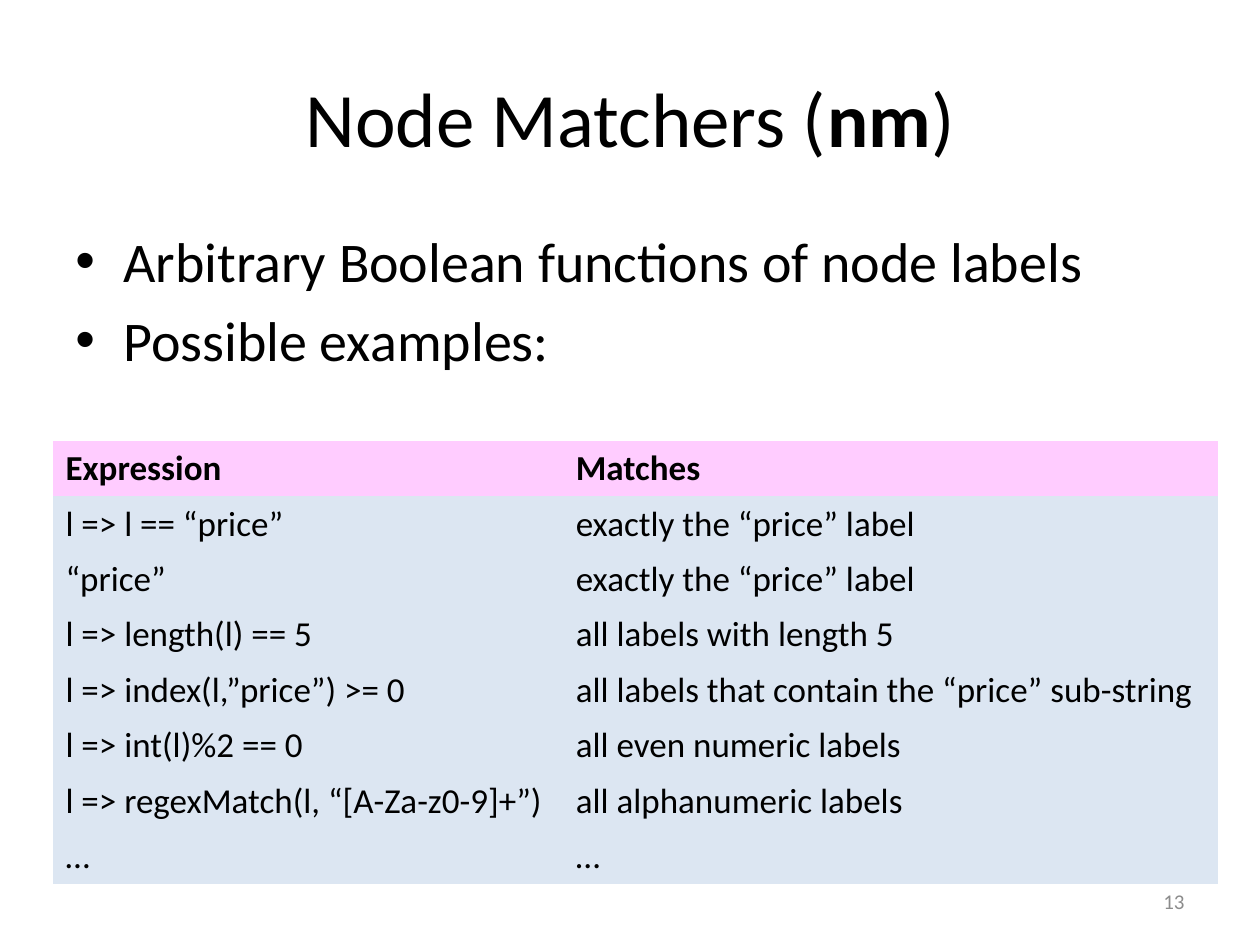
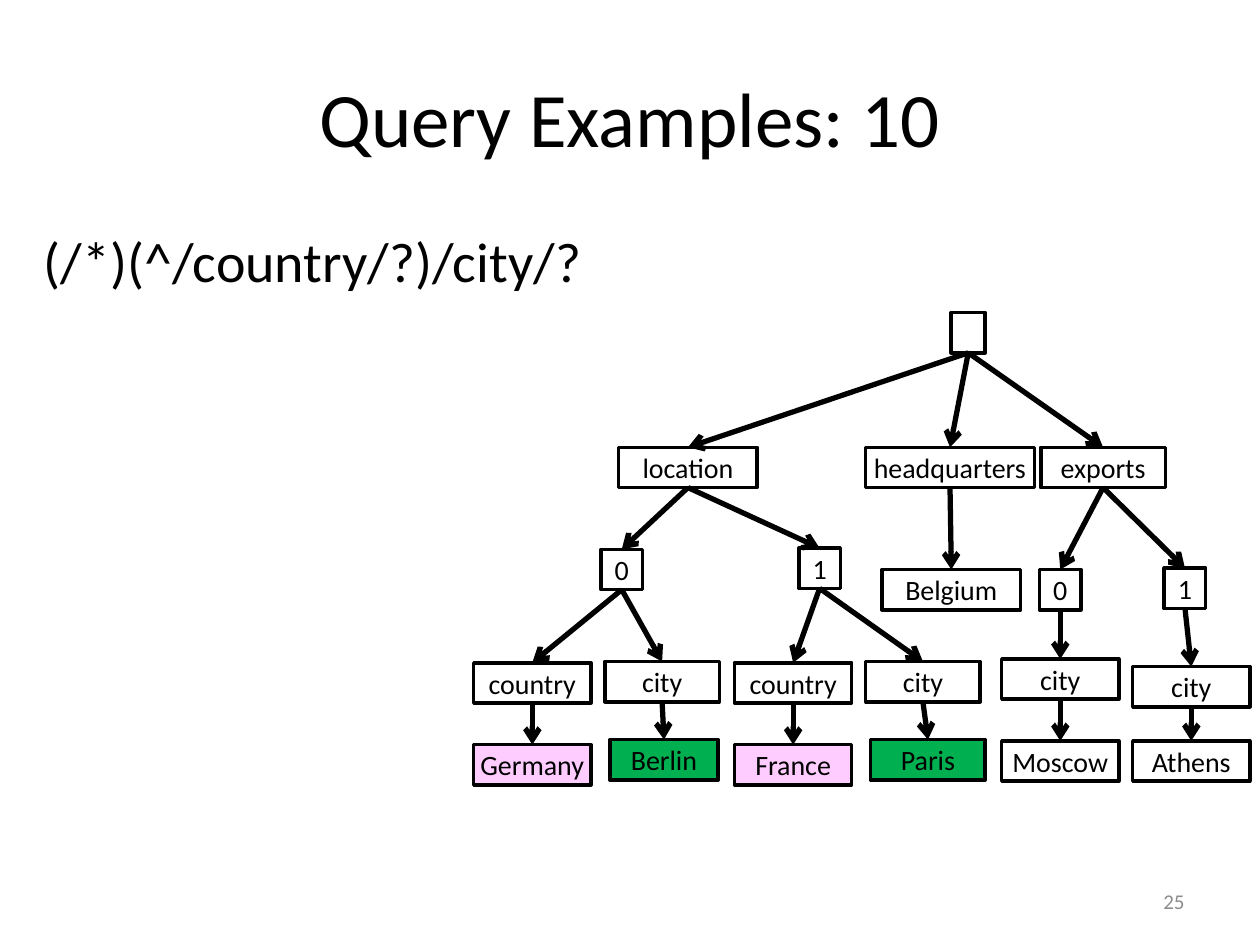
from dataclasses import dataclass

from pptx import Presentation
from pptx.dml.color import RGBColor
from pptx.enum.shapes import MSO_CONNECTOR, MSO_SHAPE
from pptx.enum.text import MSO_ANCHOR, PP_ALIGN
from pptx.oxml.ns import qn
from pptx.util import Inches, Pt
from lxml import etree

LEFT, CENTER, RIGHT = PP_ALIGN.LEFT, PP_ALIGN.CENTER, PP_ALIGN.RIGHT
TOP, MIDDLE = MSO_ANCHOR.TOP, MSO_ANCHOR.MIDDLE
RECTANGLE, STRAIGHT = MSO_SHAPE.RECTANGLE, MSO_CONNECTOR.STRAIGHT
TOP_SITE, BOTTOM_SITE = 0, 2
NO_TABLE_STYLE = "{2D5ABB26-0587-4C30-8999-92F81FD0307C}"


@dataclass(frozen=True)
class Theme:
    font: str = "Calibri"
    black: str = "000000"
    gray: str = "8C8C8C"
    pink: str = "FFCCFF"
    pale_blue: str = "DCE6F2"
    green: str = "00B050"
    title_size: int = 44
    body_size: int = 32
    table_size: int = 20
    node_size: int = 16
    number_size: int = 12


THEME = Theme()


class Deck:
    """Holds the theme, the presentation and the current slide."""

    def __init__(self, theme):
        self.theme = theme
        self.presentation = Presentation()
        self.presentation.slide_width = Inches(10)
        self.presentation.slide_height = Inches(7.5)
        self.slide = None

    def add_slide(self, title_runs, number):
        layout = self.presentation.slide_layouts[6]
        self.slide = self.presentation.slides.add_slide(layout)
        frame = self.text_box(0.5, 0.3, 9, 1.25, MIDDLE)
        self.add_runs(frame.paragraphs[0], title_runs, self.theme.title_size, CENTER)
        frame = self.text_box(7.17, 6.95, 2.33, 0.4, MIDDLE)
        self.add_runs(frame.paragraphs[0], [(str(number), False)],
                      self.theme.number_size, RIGHT, self.theme.gray)

    def text_box(self, left, top, width, height, anchor=TOP):
        box = self.slide.shapes.add_textbox(
            Inches(left), Inches(top), Inches(width), Inches(height))
        frame = box.text_frame
        frame.word_wrap = True
        frame.vertical_anchor = anchor
        return frame

    def add_runs(self, paragraph, runs, size, align=LEFT, color=None):
        paragraph.alignment = align
        for text, bold in runs:
            run = paragraph.add_run()
            run.text = text
            settings = {"name": self.theme.font, "size": Pt(size), "bold": bold}
            for name, value in settings.items():
                setattr(run.font, name, value)
            run.font.color.rgb = RGBColor.from_string(color or self.theme.black)

    def body(self, left, width, lines, bullets=False):
        frame = self.text_box(left, 1.75, width, 4.95)
        for index, line in enumerate(lines):
            paragraph = frame.add_paragraph() if index else frame.paragraphs[0]
            if bullets:
                self.bullet(paragraph)
            if index:
                paragraph.space_before = Pt(0.2 * self.theme.body_size)
            self.add_runs(paragraph, [(line, False)], self.theme.body_size)

    def bullet(self, paragraph):
        properties = paragraph._p.get_or_add_pPr()
        properties.set("marL", str(Inches(0.38)))
        properties.set("indent", str(Inches(-0.38)))
        font = etree.SubElement(properties, qn("a:buFont"))
        font.set("typeface", "Arial")
        etree.SubElement(properties, qn("a:buChar")).set("char", "•")

    def table(self, left, top, widths, row_height, rows):
        frame = self.slide.shapes.add_table(
            len(rows), len(widths), Inches(left), Inches(top),
            Inches(sum(widths)), Inches(row_height * len(rows)))
        table = frame.table
        table._tbl.tblPr.find(qn("a:tableStyleId")).text = NO_TABLE_STYLE
        table.horz_banding = False
        for column, width in zip(table.columns, widths):
            column.width = Inches(width)
        for row_index, row in enumerate(rows):
            is_header = row_index == 0
            fill = self.theme.pink if is_header else self.theme.pale_blue
            for column_index, text in enumerate(row):
                cell = table.cell(row_index, column_index)
                cell.fill.solid()
                cell.fill.fore_color.rgb = RGBColor.from_string(fill)
                self.add_runs(cell.text_frame.paragraphs[0], [(text, is_header)],
                              self.theme.table_size)

    def node(self, text, left, top, width, fill=None):
        shape = self.slide.shapes.add_shape(
            RECTANGLE, Inches(left), Inches(top), Inches(width), Inches(0.32))
        shape.shadow.inherit = False
        if fill:
            shape.fill.solid()
            shape.fill.fore_color.rgb = RGBColor.from_string(fill)
        else:
            shape.fill.background()
        self.outline(shape, 2)
        if text:
            frame = shape.text_frame
            frame.word_wrap = False
            frame.vertical_anchor = MIDDLE
            self.add_runs(frame.paragraphs[0], [(text, False)],
                          self.theme.node_size, CENTER)
        return shape

    def outline(self, shape, width):
        shape.line.color.rgb = RGBColor.from_string(self.theme.black)
        shape.line.width = Pt(width)

    def arrow(self, parent, child):
        connector = self.slide.shapes.add_connector(STRAIGHT, 0, 0, 0, 0)
        connector.begin_connect(parent, BOTTOM_SITE)
        connector.end_connect(child, TOP_SITE)
        self.outline(connector, 3)
        properties = connector._element.spPr
        etree.SubElement(properties.find(qn("a:ln")), qn("a:tailEnd")).set("type", "arrow")
        etree.SubElement(properties, qn("a:effectLst"))

    def tree(self, box, children=(), parent=None):
        shape = self.node(*box)
        if parent is not None:
            self.arrow(parent, shape)
        for child in children:
            self.tree(*child, parent=shape)


MATCHERS = [
    ("Expression", "Matches"),
    ("l => l == “price”", "exactly the “price” label"),
    ("“price”", "exactly the “price” label"),
    ("l => length(l) == 5", "all labels with length 5"),
    ("l => index(l,”price”) >= 0", "all labels that contain the “price” sub-string"),
    ("l => int(l)%2 == 0", "all even numeric labels"),
    ("l => regexMatch(l, “[A-Za-z0-9]+”)", "all alphanumeric labels"),
    ("…", "…"),
]


def location(index_box, left, country, city, city_width):
    """Index node with a country and a city branch, from the left edge on."""
    return (index_box, [
        (("country", left, 5.26, 0.93),
         [((country, left, 5.91, 0.93, THEME.pink),)]),
        (("city", left + 1.04, 5.25, 0.91),
         [((city, left + 1.08, 5.87, city_width, THEME.green),)]),
    ])


def export(index_box, left, city_top, city):
    """Index node with a single city below it."""
    return (index_box, [
        (("city", left, city_top, 0.93), [((city, left, 5.88, 0.93),)]),
    ])


# Each node is (text, left, top, width, fill), followed by its children
COUNTRY_TREE = (("", 7.55, 2.48, 0.27), [
    (("location", 4.91, 3.55, 1.1), [
        location(("0", 4.77, 4.36, 0.33), 3.76, "Germany", "Berlin", 0.86),
        location(("1", 6.34, 4.35, 0.33), 5.83, "France", "Paris", 0.91),
    ]),
    (("headquarters", 6.87, 3.55, 1.34), [(("Belgium", 7, 4.52, 1.1),)]),
    (("exports", 8.26, 3.55, 0.99), [
        export(("0", 8.25, 4.52, 0.33), 7.95, 5.23, "Moscow"),
        export(("1", 9.24, 4.51, 0.33), 8.99, 5.29, "Athens"),
    ]),
])


def main():
    deck = Deck(THEME)

    # Node matchers
    deck.add_slide([("Node Matchers (", False), ("nm", True), (")", False)], 13)
    deck.body(0.5, 9, ["Arbitrary Boolean functions of node labels",
                       "Possible examples:"], bullets=True)
    deck.table(0.42, 3.5, [4.05, 5.2], 0.44, MATCHERS)

    # Query example with its tree
    deck.add_slide([("Query Examples: 10", False)], 25)
    deck.body(0.25, 9.5, ["(/*)(^/country/?)/city/?"])
    deck.tree(*COUNTRY_TREE)

    deck.presentation.save("out.pptx")


if __name__ == "__main__":
    main()
